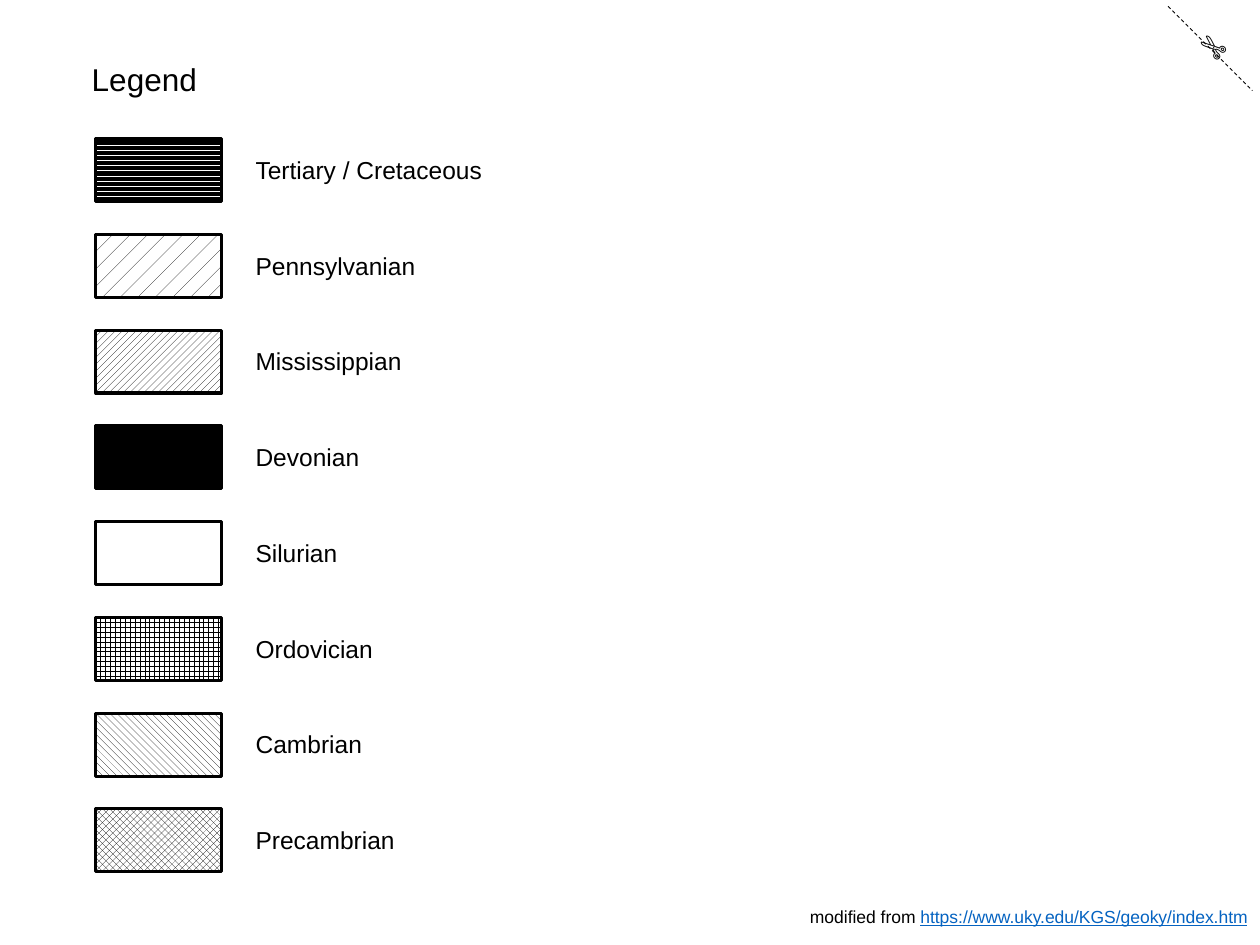
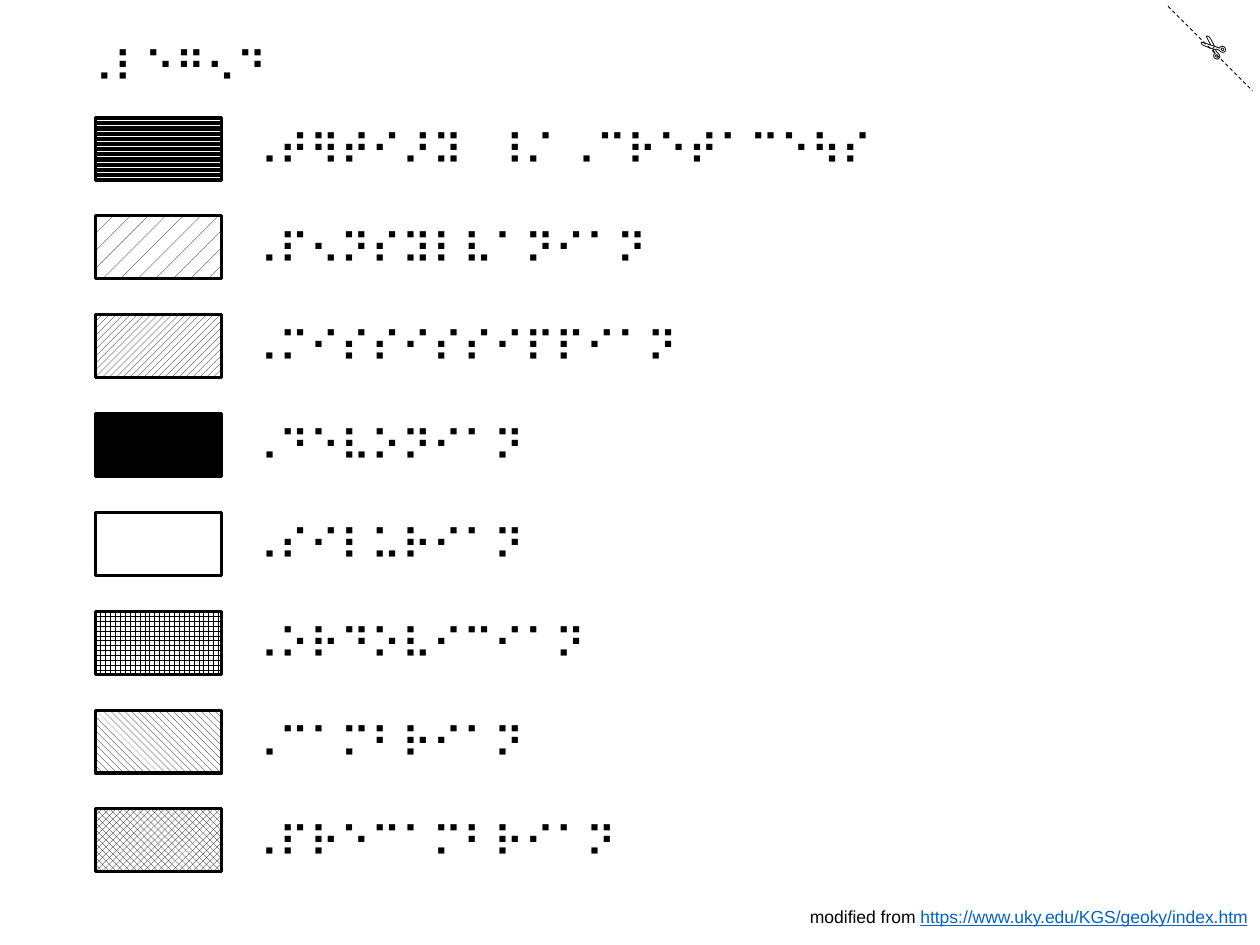
from lxml import etree
from pptx import Presentation
from pptx.dml.color import RGBColor as RGB
from pptx.enum.dml import MSO_LINE, MSO_PATTERN as PAT
from pptx.enum.shapes import MSO_CONNECTOR as CONN, MSO_SHAPE as SHAPE
from pptx.enum.text import MSO_AUTO_SIZE as AUTO
from pptx.oxml.ns import qn
from pptx.util import Inches, Pt

HEX = {"ink": "000000", "paper": "FFFFFF", "link": "0563C1"}
INK, PAPER, LINK = (RGB.from_string(code) for code in HEX.values())

# One fill per rock layer, youngest first
FILLS = [PAT.DARK_HORIZONTAL, PAT.PERCENT_5, PAT.WIDE_UPWARD_DIAGONAL, INK,
         PAPER, PAT.LARGE_GRID, PAT.WIDE_DOWNWARD_DIAGONAL, PAT.SOLID_DIAMOND]
LAST = 6.42  # top of the lowest swatch on both slides

# Title: text, left, top, width, height
# Labels: text, width, wrap
PAGES = [
    {"font": "Arial", "title": ("Legend", 0.63, 0.43, 1.04, 0.4),
     "title_size": 18, "size": 14, "top": 1.1,
     "left": 1.93, "drop": 0.08, "height": 0.34,
     "labels": [("Tertiary / Cretaceous", 2.01, False),
                ("Pennsylvanian", 1.48, False),
                ("Mississippian", 1.55, True),
                ("Devonian", 1.03, False),
                ("Silurian", 0.86, False),
                ("Ordovician", 1.14, False),
                ("Cambrian", 1.05, False),
                ("Precambrian", 1.31, False)]},
    {"font": "Roboto", "title": ("⠠⠇⠑⠛⠢⠙", 0.56, 0.27, 1.73, 0.5),
     "title_size": 24, "size": 24, "top": 0.93,
     "left": 1.87, "drop": 0, "height": 0.5,
     "labels": [("⠠⠞⠻⠞⠊⠜⠽⠀⠸⠌ ⠠⠉⠗⠑⠞⠁⠉⠑⠳⠎", 5.62, True),
                ("⠠⠏⠢⠝⠎⠽⠇⠧⠁⠝⠊⠁⠝", 3.37, False),
                ("⠠⠍⠊⠎⠎⠊⠎⠎⠊⠏⠏⠊⠁⠝", 3.76, True),
                ("⠠⠙⠑⠧⠕⠝⠊⠁⠝", 2.49, False),
                ("⠠⠎⠊⠇⠥⠗⠊⠁⠝", 2.49, False),
                ("⠠⠕⠗⠙⠕⠧⠊⠉⠊⠁⠝", 2.88, False),
                ("⠠⠉⠁⠍⠃⠗⠊⠁⠝", 2.49, False),
                ("⠠⠏⠗⠑⠉⠁⠍⠃⠗⠊⠁⠝", 3.13, False)]},
]


def add_text(slide, text, left, top, width, height, size, font="Arial", wrap=False):
    box = slide.shapes.add_textbox(*map(Inches, (left, top, width, height)))
    frame = box.text_frame
    frame.text = text
    frame.word_wrap = wrap
    frame.auto_size = AUTO.SHAPE_TO_FIT_TEXT
    style = frame.paragraphs[0].runs[0].font
    style.name, style.size = font, Pt(size)
    style.color.rgb = INK
    return box


def add_corner_and_source(slide):
    cut = slide.shapes.add_connector(
        CONN.STRAIGHT, *map(Inches, (9.27, 0.05, 9.94, 0.72)))
    cut.line.color.rgb = INK
    cut.line.width = Pt(0.5)
    cut.line.dash_style = MSO_LINE.DASH
    props = cut._element.find(qn("p:spPr"))
    etree.SubElement(props, qn("a:effectLst"))
    add_text(slide, "✄", 9.41, 0.18, 0.42, 0.4, 18, wrap=True).rotation = 220.5

    note = add_text(slide, "modified from ", 6.33, 7.14, 3.81, 0.27, 10, wrap=True)
    run = note.text_frame.paragraphs[0].add_run()
    run.text = "https://www.uky.edu/KGS/geoky/index.htm"
    run.font.name, run.font.size = "Arial", Pt(10)
    run.font.color.rgb = LINK
    run.font.underline = True


deck = Presentation()
deck.slide_width, deck.slide_height = Inches(10), Inches(7.5)

for page in PAGES:
    slide = deck.slides.add_slide(deck.slide_layouts[6])
    add_corner_and_source(slide)
    add_text(slide, *page["title"], page["title_size"], page["font"])

    step = (LAST - page["top"]) / (len(FILLS) - 1)
    for row, (fill, label) in enumerate(zip(FILLS, page["labels"])):
        top = page["top"] + row * step
        swatch = slide.shapes.add_shape(
            SHAPE.RECTANGLE, *map(Inches, (0.76, top, 1, 0.5)))
        swatch.shadow.inherit = False
        swatch.line.color.rgb = INK
        swatch.line.width = Pt(1.75)
        if isinstance(fill, RGB):
            swatch.fill.solid()
            swatch.fill.fore_color.rgb = fill
        else:
            swatch.fill.patterned()
            swatch.fill.pattern = fill
            swatch.fill.fore_color.rgb = INK
            swatch.fill.back_color.rgb = PAPER

        text, width, wrap = label
        add_text(slide, text, page["left"], top + page["drop"], width,
                 page["height"], page["size"], page["font"], wrap)

deck.save("out.pptx")
